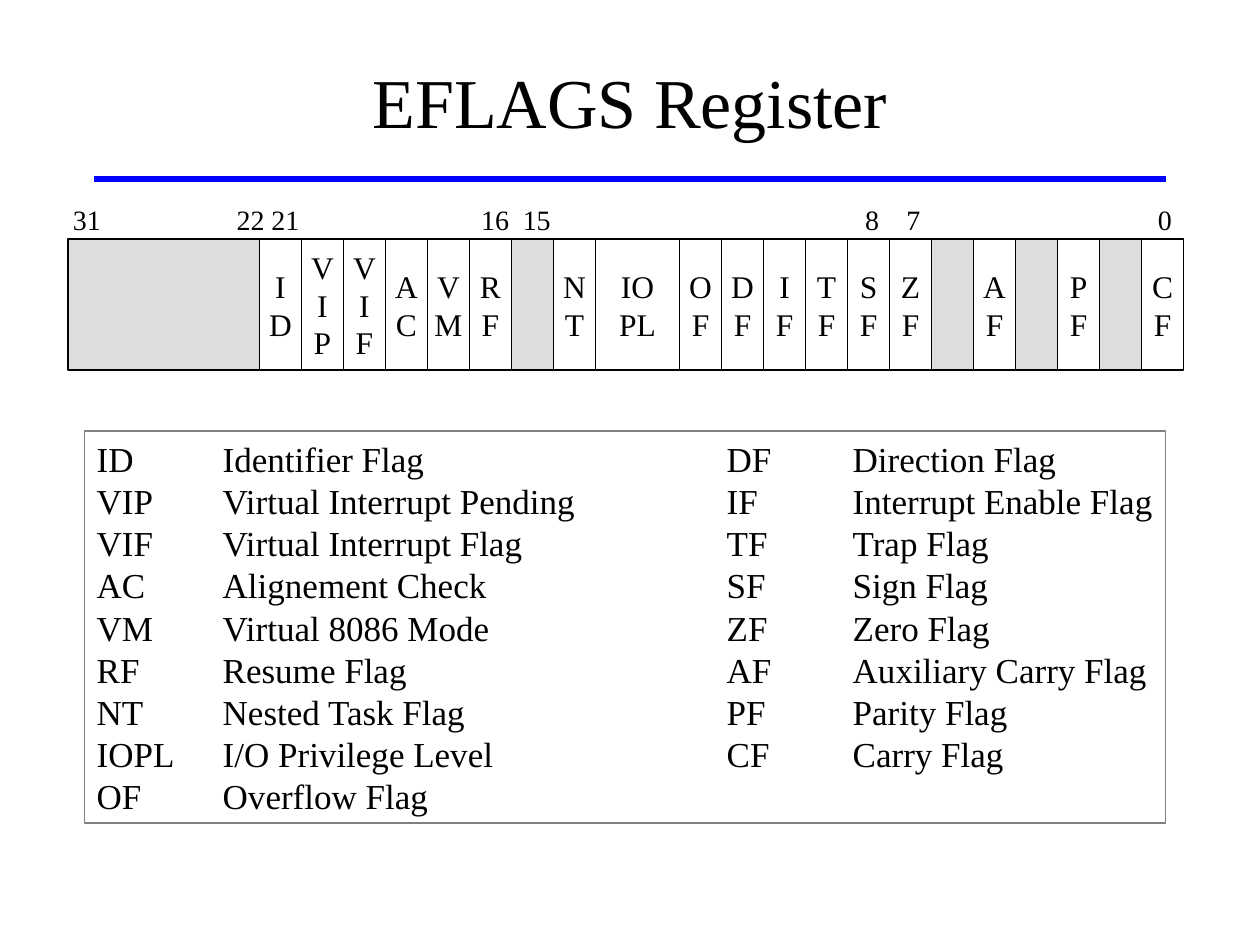
from pptx import Presentation
from pptx import util as u
from pptx.dml.color import RGBColor
from pptx.enum import shapes, text
from pptx.oxml.ns import qn
from lxml import etree

FONT = "Times New Roman"
BITS_PER_SLOT = {"IOPL": 2}
REGISTER = ["ID", "VIP", "VIF", "AC", "VM", "RF", "", "NT", "IOPL", "OF", "DF",
            "IF", "TF", "SF", "ZF", "", "AF", "", "PF", "", "CF"]
BIT_NUMBERS = ["31", "22 21", "16", "15", "8", "7", "0"]
BIT_TABS = [3.3, 8.23, 9.07, 15.97, 16.8, 21.87]
LEGEND_TABS = [2.54, 12.7, 15.24]
FLAGS = [
    ("ID", "Identifier Flag"),
    ("VIP", "Virtual Interrupt Pending"),
    ("VIF", "Virtual Interrupt Flag"),
    ("AC", "Alignement Check"),
    ("VM", "Virtual 8086 Mode"),
    ("RF", "Resume Flag"),
    ("NT", "Nested Task Flag"),
    ("IOPL", "I/O Privilege Level"),
    ("OF", "Overflow Flag"),
    ("DF", "Direction Flag"),
    ("IF", "Interrupt Enable Flag"),
    ("TF", "Trap Flag"),
    ("SF", "Sign Flag"),
    ("ZF", "Zero Flag"),
    ("AF", "Auxiliary Carry Flag"),
    ("PF", "Parity Flag"),
    ("CF", "Carry Flag"),
]


def color(value):
    return RGBColor.from_string(value)


def place(box):
    return [u.Cm(length) for length in box]


def write(shape, content, size=18, align=text.PP_ALIGN.LEFT, wrap=True, tabs=()):
    frame = shape.text_frame
    frame.word_wrap = wrap
    frame.vertical_anchor = text.MSO_ANCHOR.MIDDLE
    for index, line in enumerate(content.split("\n")):
        para = frame.add_paragraph() if index else frame.paragraphs[0]
        para.alignment = align
        span = para.add_run()
        span.text = line
        span.font.name = FONT
        span.font.size = u.Pt(size)
        span.font.color.rgb = color("000000")
        if tabs:
            stops = etree.SubElement(para._p.get_or_add_pPr(), qn("a:tabLst"))
            for tab in tabs:
                etree.SubElement(stops, qn("a:tab"), pos=str(u.Cm(tab)), algn="l")


def add_box(parent, box, outline="000000", fill=None):
    shape = parent.shapes.add_shape(shapes.MSO_SHAPE.RECTANGLE, *place(box))
    shape.shadow.inherit = False
    shape.line.color.rgb = color(outline)
    shape.line.width = u.Pt(0.75)
    if fill:
        shape.fill.solid()
        shape.fill.fore_color.rgb = color(fill)
    else:
        shape.fill.background()
    return shape


def add_heading(page, box, content):
    left, top, width, height = box
    title = page.shapes.title
    title.left, title.top, title.width, title.height = place(box)
    write(title, content, size=40, align=text.PP_ALIGN.CENTER)
    ends = place((left, top + height, left + width, top + height))
    rule = page.shapes.add_connector(shapes.MSO_CONNECTOR.STRAIGHT, *ends)
    rule.line.color.rgb = color("0000FF")
    rule.line.width = u.Pt(3)
    etree.SubElement(rule._element.spPr, qn("a:effectLst"))


def add_register(page, box):
    left, top, width, height = box
    label_height, reserved = 0.86, 3.86
    group = page.shapes.add_group_shape()
    numbers = group.shapes.add_textbox(*place((left - 0.15, top, width + 0.2, 0.94)))
    write(numbers, "\t".join(BIT_NUMBERS), size=16, tabs=BIT_TABS)

    cell_top, cell_height = top + label_height, height - label_height
    add_box(group, (left, cell_top, reserved, cell_height), fill="DDDDDD")
    slots = sum(BITS_PER_SLOT.get(flag, 1) for flag in REGISTER)
    bit_width = (width - reserved) / slots
    cell_left = left + reserved
    for flag in REGISTER:
        span = BITS_PER_SLOT.get(flag, 1)
        cell = add_box(group, (cell_left, cell_top, span * bit_width, cell_height),
                       fill="FFFFFF" if flag else "DDDDDD")
        if flag:
            rows = [flag[i:i + span] for i in range(0, len(flag), span)]
            write(cell, "\n".join(rows), align=text.PP_ALIGN.CENTER, wrap=False)
        cell_left += span * bit_width


def add_legend(page, box):
    panel = add_box(page, box, outline="808080")
    panel.text_frame.margin_right = 0
    rows = (len(FLAGS) + 1) // 2
    lines = [sum(FLAGS[row::rows], ()) for row in range(rows)]
    write(panel, "\n".join("\t".join(line) for line in lines), size=20, tabs=LEGEND_TABS)


def main():
    deck = Presentation()
    deck.slide_width, deck.slide_height = u.Cm(25.4), u.Cm(19.05)
    page = deck.slides.add_slide(deck.slide_layouts[5])
    add_heading(page, (1.9, 0.43, 21.6, 3.18), "EFLAGS Register")
    add_register(page, (1.37, 3.96, 22.49, 3.5))
    add_legend(page, (1.7, 8.69, 21.8, 7.9))
    deck.save("out.pptx")


if __name__ == "__main__":
    main()
